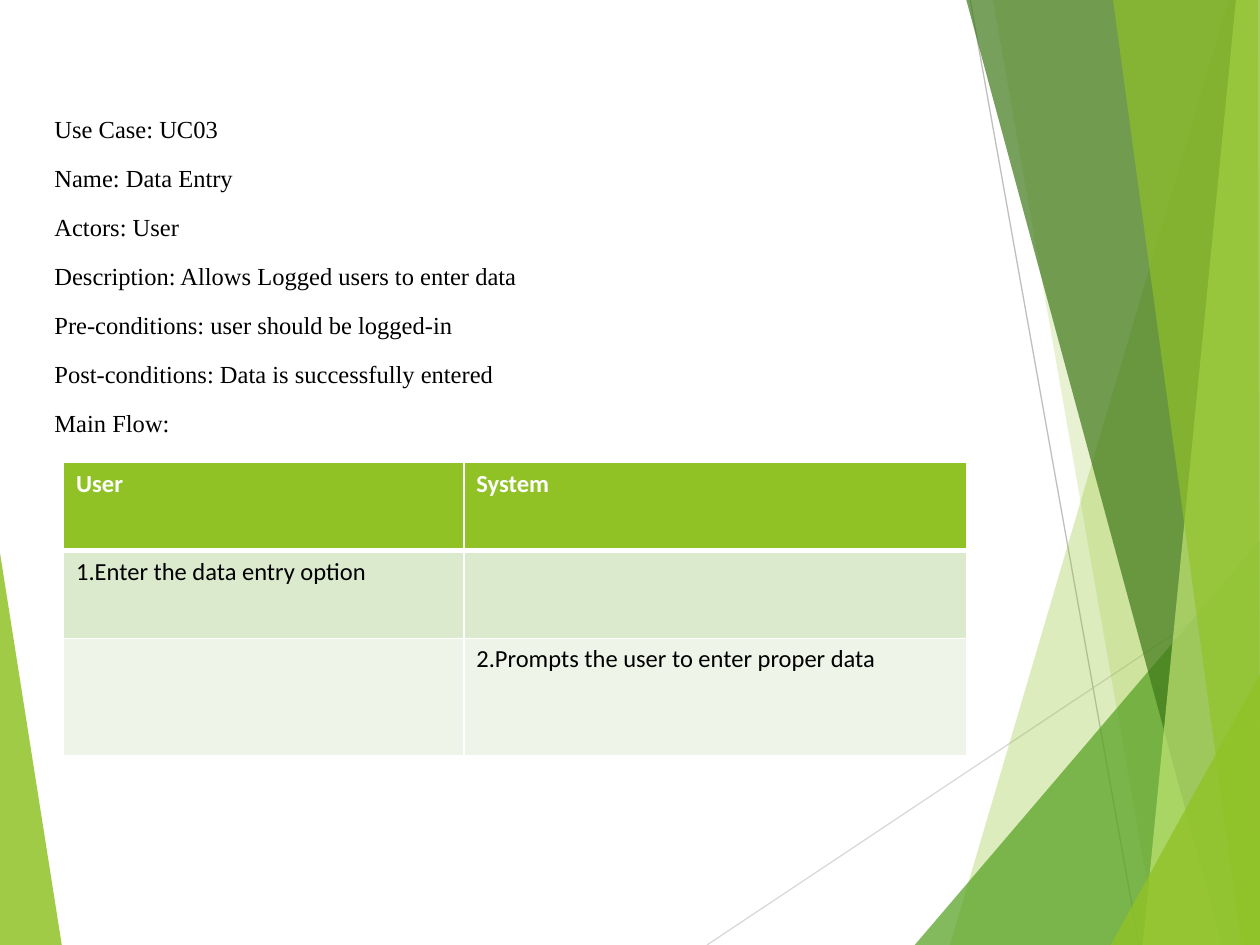
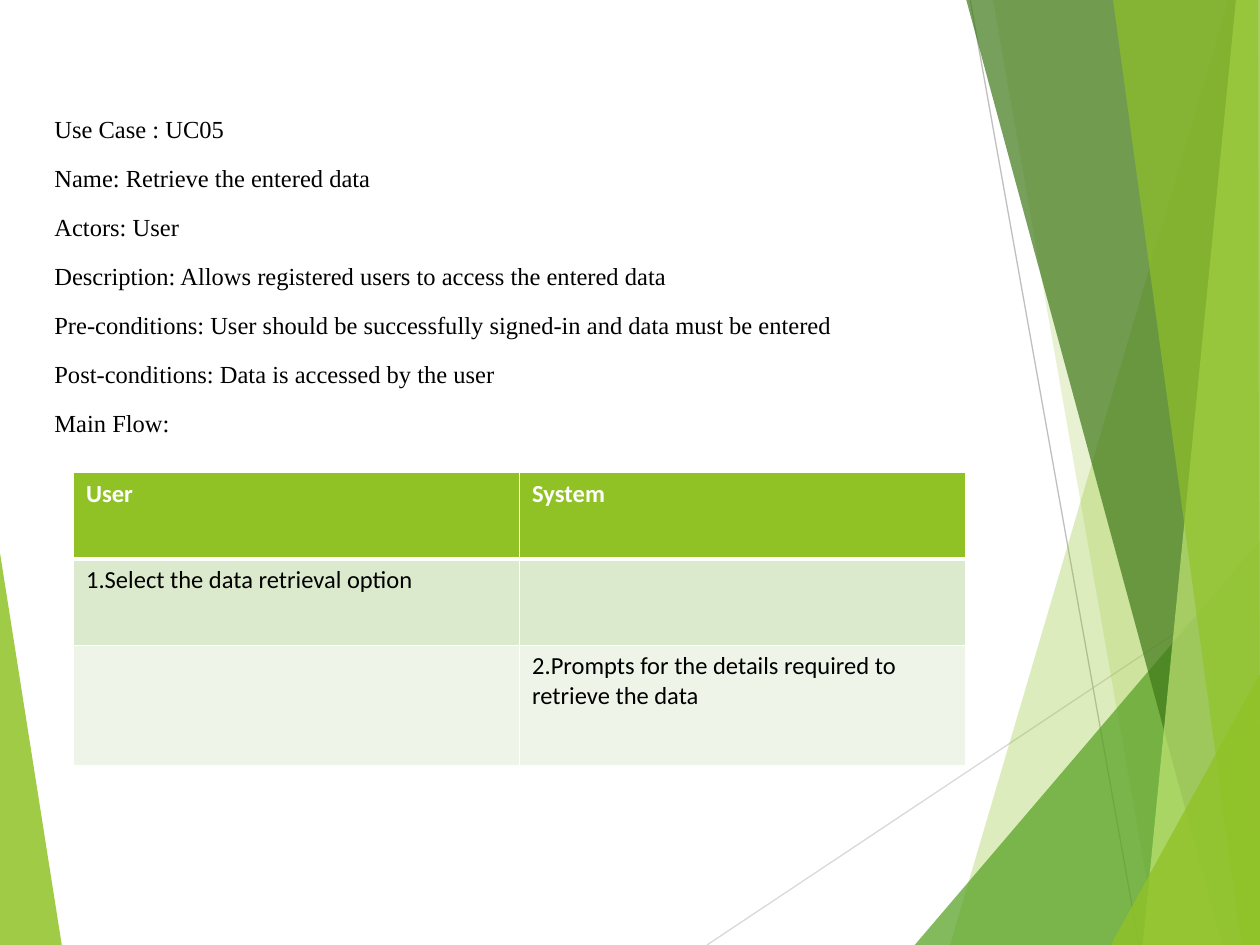
"""Build two use case slides with a green faceted backdrop and a main flow table."""
from dataclasses import dataclass

from lxml import etree
from pptx import Presentation
from pptx import util as u
from pptx.dml.color import RGBColor
from pptx.enum import shapes, text
from pptx.oxml import ns


@dataclass(frozen=True)
class Theme:
    lime: str = "90C226"
    pale_lime: str = "C0E474"
    green: str = "54A021"
    forest: str = "3F7819"
    odd_row: str = "DBE9CD"
    even_row: str = "EEF4E8"
    white: str = "FFFFFF"
    black: str = "000000"
    silver: str = "D9D9D9"
    grey: str = "BFBFBF"
    body_font: str = "Times New Roman"
    table_font: str = "Calibri"
    size: float = 14
    leading: float = 28
    hairline: float = 0.75


def add_span(para, words, font, color, bold=False):
    span = para.add_run()
    span.text = words
    span.font.name = font
    span.font.size = u.Pt(theme.size)
    span.font.bold = bold
    span.font.color.rgb = RGBColor.from_string(color)


def add_border(cell, side, width):
    line = etree.SubElement(cell._tc.get_or_add_tcPr(), ns.qn(f"a:{side}"), w=str(u.Pt(width)))
    fill = etree.SubElement(line, ns.qn("a:solidFill"))
    etree.SubElement(fill, ns.qn("a:srgbClr"), val=theme.white)


theme = Theme()
WIDTH, HEIGHT = 720, 540

left_facet = (theme.lime, 85, [(0, 316), (35.3, HEIGHT), (0, HEIGHT)])
rays = [
    (theme.silver, (404, HEIGHT), (WIDTH, 329.5)),
    (theme.grey, (554.4, 0), (650.9, HEIGHT)),
]
right_facets = [
    (theme.lime, 30, [(702, 0), (542.9, HEIGHT), (WIDTH, HEIGHT), (WIDTH, 0)]),
    (theme.lime, 20, [(567.4, 0), (661.7, HEIGHT), (WIDTH, HEIGHT), (WIDTH, 0)]),
    (theme.green, 72, [(522.7, HEIGHT), (WIDTH, 308.9), (WIDTH, HEIGHT)]),
    (theme.forest, 70, [(552.2, 0), (698.4, HEIGHT), (WIDTH, HEIGHT), (WIDTH, 0)]),
    (theme.pale_lime, 70, [(706.3, 0), (653, HEIGHT), (WIDTH, HEIGHT), (WIDTH, 0)]),
    (theme.lime, 65, [(636, 0), (709.5, HEIGHT), (WIDTH, HEIGHT), (718.8, 0)]),
    (theme.lime, 80, [(634.7, HEIGHT), (WIDTH, 385.2), (WIDTH, HEIGHT)]),
]

use_cases = [
    {
        "details": [
            "Use Case: UC03",
            "Name: Data Entry",
            "Actors: User",
            "Description: Allows Logged users to enter data",
            "Pre-conditions: user should be logged-in",
            "Post-conditions: Data is successfully entered",
            "Main Flow:",
        ],
        "details_width": 584.6,
        "user_step": "1.Enter the data entry option",
        "system_step": "2.Prompts the user to enter proper data",
        "table_at": (36.3, 264.4),
        "columns": (228.7, 287.2),
        "rows": (50.2, 50.2, 66.9),
    },
    {
        "details": [
            "Use Case : UC05",
            "Name: Retrieve the entered data",
            "Actors: User",
            "Description: Allows registered users to access the entered data",
            "Pre-conditions: User should be successfully signed-in and data must be entered",
            "Post-conditions: Data is accessed by the user",
            "Main Flow:",
        ],
        "details_width": 669.6,
        "user_step": "1.Select the data retrieval option",
        "system_step": "2.Prompts for the details required to retrieve the data",
        "table_at": (42, 270),
        "columns": (254.9, 254.9),
        "rows": (49.4, 49.4, 69),
    },
]

deck = Presentation()
deck.slide_width, deck.slide_height = u.Pt(WIDTH), u.Pt(HEIGHT)

for use_case in use_cases:
    page = deck.slides.add_slide(deck.slide_layouts[6])

    for color, start, end in rays:
        ray = page.shapes.add_connector(
            shapes.MSO_CONNECTOR.STRAIGHT, *map(u.Pt, start), *map(u.Pt, end)
        )
        ray.line.color.rgb = RGBColor.from_string(color)
        ray.line.width = u.Pt(theme.hairline)
        etree.SubElement(ray.element.spPr, ns.qn("a:effectLst"))

    for color, opacity, corners in [left_facet, *right_facets]:
        points = [(u.Pt(x), u.Pt(y)) for x, y in corners]
        outline = page.shapes.build_freeform(*points[0])
        outline.add_line_segments(points[1:], close=True)
        facet = outline.convert_to_shape()
        facet.shadow.inherit = False
        facet.fill.solid()
        facet.fill.fore_color.rgb = RGBColor.from_string(color)
        facet.line.fill.background()
        tint = facet.element.spPr.find(".//" + ns.qn("a:srgbClr"))
        etree.SubElement(tint, ns.qn("a:alpha"), val=str(opacity * 1000))

    box = page.shapes.add_textbox(
        u.Pt(24), u.Pt(49), u.Pt(use_case["details_width"]), u.Pt(226.8)
    )
    frame = box.text_frame
    frame.word_wrap = True
    frame.vertical_anchor = text.MSO_ANCHOR.TOP
    frame.margin_top = u.Pt(4.9)
    for index, detail in enumerate(use_case["details"]):
        para = frame.paragraphs[0] if index == 0 else frame.add_paragraph()
        para.line_spacing = u.Pt(theme.leading)
        add_span(para, detail, theme.body_font, theme.black)

    flow = [
        (theme.lime, theme.white, ("User", "System")),
        (theme.odd_row, theme.black, (use_case["user_step"], "")),
        (theme.even_row, theme.black, ("", use_case["system_step"])),
    ]
    columns, rows = use_case["columns"], use_case["rows"]
    table = page.shapes.add_table(
        len(rows), len(columns), *map(u.Pt, use_case["table_at"]),
        u.Pt(sum(columns)), u.Pt(sum(rows))
    ).table
    table.horz_banding = False
    for column, width in zip(table.columns, columns):
        column.width = u.Pt(width)
    for row_index, (fill_color, text_color, entries) in enumerate(flow):
        table.rows[row_index].height = u.Pt(rows[row_index])
        top = 3 if row_index == 1 else 1
        bottom = 3 if row_index == 0 else 1
        for column_index, entry in enumerate(entries):
            cell = table.cell(row_index, column_index)
            for side, width in (("lnL", 1), ("lnR", 1), ("lnT", top), ("lnB", bottom)):
                add_border(cell, side, width)
            cell.fill.solid()
            cell.fill.fore_color.rgb = RGBColor.from_string(fill_color)
            if entry:
                add_span(cell.text_frame.paragraphs[0], entry, theme.table_font,
                         text_color, bold=row_index == 0)

deck.save("out.pptx")
